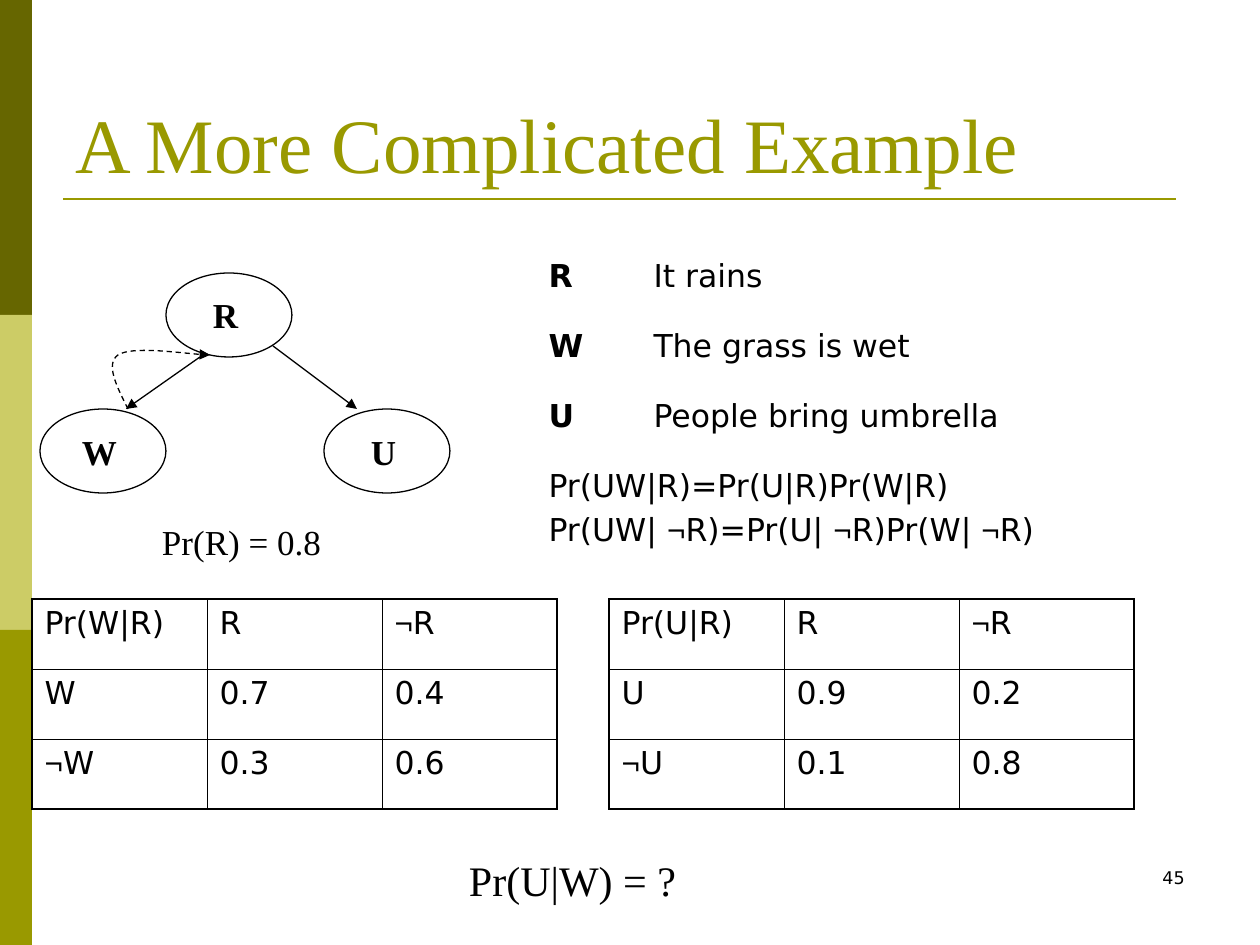
from dataclasses import dataclass
from typing import NamedTuple

from lxml.etree import SubElement
from pptx import Presentation
from pptx.dml.color import RGBColor
from pptx.enum.dml import MSO_LINE as Dash
from pptx.enum.shapes import MSO_CONNECTOR as Conn, MSO_SHAPE as Shape
from pptx.enum.text import MSO_ANCHOR as Anchor, PP_ALIGN as Align
from pptx.oxml.ns import qn
from pptx.util import Inches, Pt

SERIF, SANS, SIGN = "Times New Roman", "DejaVu Sans", "Arial"
BLACK, OLIVE, DARK, PALE = "000000", "999900", "666600", "CCCC66"
THIN = 0.75


class Box(NamedTuple):
    x: int
    y: int
    w: int
    h: int


@dataclass
class Label:
    text: str
    box: Box
    size: int
    font: str = SERIF
    color: str = BLACK
    align: Align = Align.CENTER
    anchor: Anchor = Anchor.TOP


@dataclass
class Grid:
    x: int
    y: int
    cols: list[int]
    rows: list[int]
    cells: list[list[str]]
    ruled: bool = True


def px(n: int) -> int:
    return round(n * Inches(1) / 126)


def rgb(color: str) -> RGBColor:
    return RGBColor.from_string(color)


def write(par, text: str, size: int, font: str, color: str = BLACK, bold: bool = False) -> None:
    """Fill a paragraph; each ¬ gets a run in its own font."""
    face = par.font
    face.name, face.size, face.bold = font, Pt(size), bold
    face.color.rgb = rgb(color)
    for i, part in enumerate(text.split("¬")):
        if i:
            sign = par.add_run()
            sign.text, sign.font.name = "¬", SIGN
        if part:
            par.add_run().text = part


def add_label(shapes, label: Label) -> None:
    frame = shapes.add_textbox(*map(px, label.box)).text_frame
    frame.word_wrap = True
    frame.vertical_anchor = label.anchor
    par = frame.paragraphs[0]
    par.alignment = label.align
    write(par, label.text, label.size, label.font, label.color)


def add_bar(shapes, box: Box, color: str) -> None:
    bar = shapes.add_shape(Shape.RECTANGLE, *map(px, box))
    bar.shadow.inherit = False
    bar.fill.solid()
    bar.fill.fore_color.rgb = rgb(color)
    bar.line.fill.background()


def add_node(shapes, name: str, x: int, y: int) -> None:
    node = shapes.add_shape(Shape.OVAL, *map(px, (x, y, 126, 84)))
    node.shadow.inherit = False
    node.fill.background()
    node.line.color.rgb, node.line.width = rgb(BLACK), Pt(THIN)
    frame = node.text_frame
    frame.margin_left = frame.margin_top = frame.margin_bottom = 0
    frame.margin_right = px(7)
    frame.vertical_anchor = Anchor.MIDDLE
    par = frame.paragraphs[0]
    par.alignment = Align.CENTER
    write(par, name, 20, SERIF, bold=True)


def add_head(line) -> None:
    SubElement(line._get_or_add_ln(), qn("a:tailEnd"), type="triangle")


def add_line(shapes, start: tuple, end: tuple, color: str, width: float, head: bool = False) -> None:
    link = shapes.add_connector(Conn.STRAIGHT, *map(px, start + end))
    link.line.color.rgb, link.line.width = rgb(color), Pt(width)
    if head:
        add_head(link.line)
    SubElement(link._element.spPr, qn("a:effectLst"))


def add_curve(shapes, start: tuple, points: list[tuple]) -> None:
    """Draw a dashed arrow; every three points make one Bezier piece."""
    build = shapes.build_freeform(*map(px, start))
    build.add_line_segments([(px(x), px(y)) for x, y in points], close=False)
    curve = build.convert_to_shape()
    steps = list(curve._element.iter(qn("a:lnTo")))
    for i in range(0, len(steps), 3):
        piece = SubElement(steps[i].getparent(), qn("a:cubicBezTo"))
        for step in steps[i:i + 3]:
            piece.append(step[0])
            step.getparent().remove(step)
    curve.shadow.inherit = False
    curve.fill.background()
    line = curve.line
    line.color.rgb, line.width, line.dash_style = rgb(BLACK), Pt(THIN), Dash.DASH
    add_head(line)


def add_edge(cell, side: str, width: float) -> None:
    edge = SubElement(cell._tc.get_or_add_tcPr(), qn(f"a:ln{side}"), w=str(Pt(width)))
    fill = SubElement(edge, qn("a:solidFill"))
    SubElement(fill, qn("a:srgbClr"), val=BLACK)


def add_grid(shapes, grid: Grid):
    rows, cols = len(grid.rows), len(grid.cols)
    area = Box(grid.x, grid.y, sum(grid.cols), sum(grid.rows))
    table = shapes.add_table(rows, cols, *map(px, area)).table
    table.first_row = table.horz_banding = False
    for col, width in zip(table.columns, grid.cols):
        col.width = px(width)
    for r, (row, height) in enumerate(zip(table.rows, grid.rows)):
        row.height = px(height)
        for c, cell in enumerate(row.cells):
            if grid.ruled:
                outer = {"L": c == 0, "R": c == cols - 1, "T": r == 0, "B": r == rows - 1}
                for side, out in outer.items():
                    add_edge(cell, side, 1.08 if out else 0.45)
            cell.fill.background()
            frame = cell.text_frame
            for i, text in enumerate(grid.cells[r][c].split("\n")):
                par = frame.add_paragraph() if i else frame.paragraphs[0]
                par.space_before = Pt(4.5)
                key = not grid.ruled and c == 0 and r < rows - 1
                write(par, text, 18, SANS, bold=key)
    return table


def main() -> None:
    deck = Presentation()
    deck.slide_width, deck.slide_height = Inches(10), Inches(7.5)
    shapes = deck.slides.add_slide(deck.slide_layouts[6]).shapes

    # Side bars and title rule
    for i, color in enumerate((DARK, PALE, OLIVE)):
        add_bar(shapes, Box(0, 315 * i, 32, 315), color)
    add_line(shapes, (63, 199), (1176, 199), OLIVE, 1.5)

    # Title, formulas and slide number
    for label in (
        Label("A More Complicated Example", Box(63, 38, 1134, 157), 44,
              color=OLIVE, align=Align.LEFT, anchor=Anchor.BOTTOM),
        Label("Pr(R) = 0.8", Box(42, 514, 399, 55), 20),
        Label("Pr(U|W) = ?", Box(147, 848, 851, 63), 24),
        Label("45", Box(903, 861, 294, 63), 10, font=SANS, align=Align.RIGHT),
    ):
        add_label(shapes, label)

    # Network
    for name, x, y in (("R", 166, 273), ("W", 40, 409), ("U", 324, 409)):
        add_node(shapes, name, x, y)
    add_line(shapes, (200, 357), (126, 409), BLACK, THIN, head=True)
    add_line(shapes, (273, 346), (357, 409), BLACK, THIN, head=True)
    add_curve(shapes, (128, 409), [(117, 387), (105, 364), (118, 355),
                                   (132, 346), (195, 355), (210, 355)])

    # Legend, with the formulas across its last row
    rules = "Pr(UW|R)=Pr(U|R)Pr(W|R)\nPr(UW| ¬R)=Pr(U| ¬R)Pr(W| ¬R)"
    legend = add_grid(shapes, Grid(536, 252, [105, 515], [70, 70, 70, 105], [
        ["R", "It rains"], ["W", "The grass is wet"],
        ["U", "People bring umbrella"], [rules, ""]], ruled=False))
    legend.cell(3, 0).merge(legend.cell(3, 1))

    # Probability tables
    for x, name, yes, no in ((32, "W", ["0.7", "0.4"], ["0.3", "0.6"]),
                             (609, "U", ["0.9", "0.2"], ["0.1", "0.8"])):
        add_grid(shapes, Grid(x, 599, [175] * 3, [70] * 3, [
            [f"Pr({name}|R)", "R", "¬R"], [name, *yes], [f"¬{name}", *no]]))

    deck.save("out.pptx")


if __name__ == "__main__":
    main()
